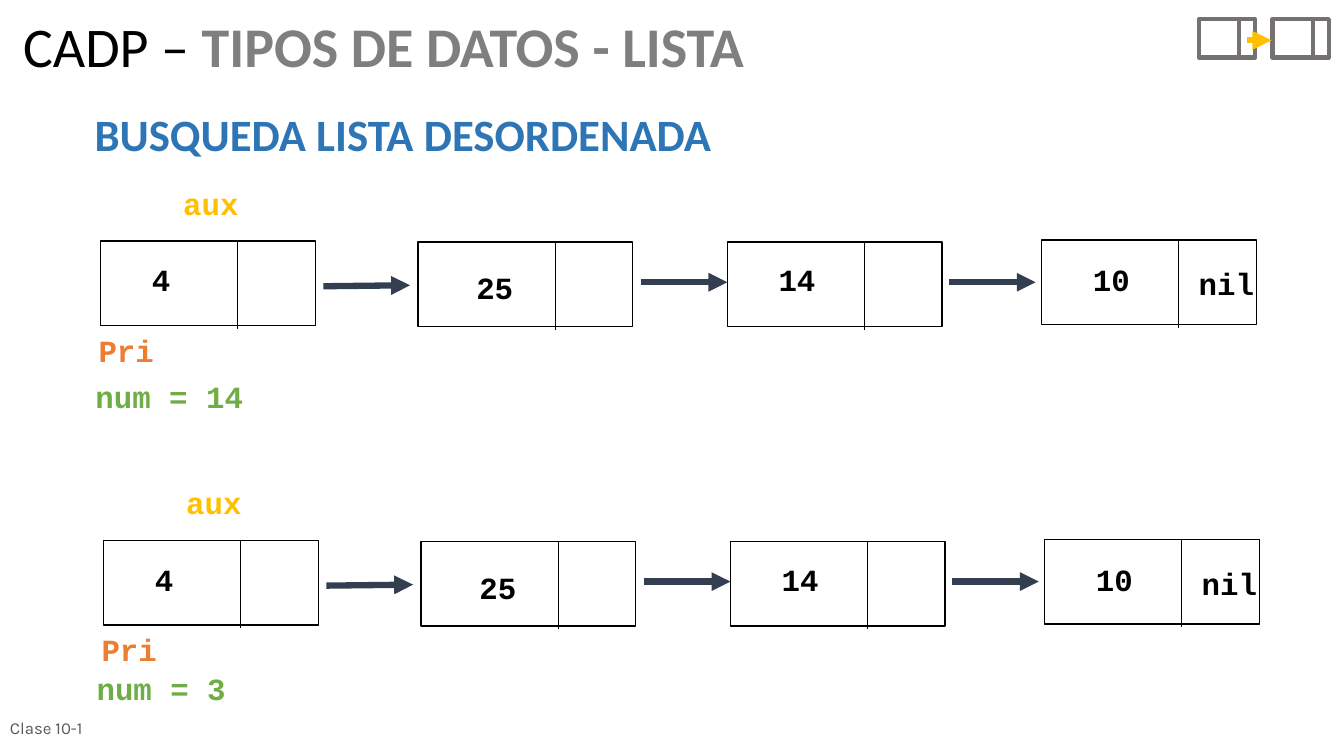
from lxml import etree
from pptx import Presentation
from pptx import util as u
from pptx.dml.color import RGBColor
from pptx.enum import shapes, text
from pptx.oxml.ns import qn

PX = 9144  # EMU per px, 100 px to the inch
BLACK, GREY, GOLD, NAVY = "000000", "767171", "FFC000", "333F50"
ORANGE, GREEN, BLUE = "ED7D31", "70AD47", "2E75B6"
LEFT, CENTER = text.PP_ALIGN.LEFT, text.PP_ALIGN.CENTER


def rgb(color):
    return RGBColor.from_string(color)


def emu(*lengths):
    return [u.Emu(n * PX) for n in lengths]


class Deck:
    font, size = "Courier New", 22

    def __init__(self, width, height):
        self.prs = Presentation()
        self.prs.slide_width, self.prs.slide_height = emu(width, height)
        self.slide = self.prs.slides.add_slide(self.prs.slide_layouts[5])

    def title(self, x, y, w, h, parts):
        sp = self.slide.shapes.title
        sp.left, sp.top, sp.width, sp.height = emu(x, y, w, h)
        tf = sp.text_frame
        tf.auto_size = text.MSO_AUTO_SIZE.NONE
        tf.vertical_anchor = text.MSO_ANCHOR.TOP
        p = tf.paragraphs[0]
        p.alignment, p.line_spacing = LEFT, 0.9
        for words, color, bold in parts:
            r = p.add_run()
            r.text = words
            r.font.name, r.font.size, r.font.bold = "Calibri", u.Pt(40), bold
            r.font.color.rgb = rgb(color)

    def label(self, words, x, y, w, h=47, color=BLACK, font=font, size=size, bold=True,
              align=LEFT, wrap=True, anchor=text.MSO_ANCHOR.TOP, parent=None):
        sp = (parent or self.slide).shapes.add_textbox(*emu(x, y, w, h))
        tf = sp.text_frame
        tf.word_wrap, tf.vertical_anchor = wrap, anchor
        p = tf.paragraphs[0]
        p.text, p.alignment = words, align
        p.font.name, p.font.size, p.font.bold = font, u.Pt(size), bold
        p.font.color.rgb = rgb(color)

    def box(self, x, y, w, h, color, weight, parent):
        sp = parent.shapes.add_shape(shapes.MSO_SHAPE.RECTANGLE, *emu(x, y, w, h))
        sp.shadow.inherit = False
        sp.fill.background()
        sp.line.color.rgb, sp.line.width = rgb(color), u.Pt(weight)

    def line(self, x1, y1, x2, y2, color, weight, arrow=False, parent=None):
        s = (parent or self.slide).shapes.add_connector(
            shapes.MSO_CONNECTOR.STRAIGHT, *emu(x1, y1, x2, y2))
        s.line.color.rgb, s.line.width = rgb(color), u.Pt(weight)
        props = s.element.spPr
        if arrow:
            etree.SubElement(props.find(qn("a:ln")), qn("a:tailEnd"), type="triangle")
        etree.SubElement(props, qn("a:effectLst"))

    def group(self):
        return self.slide.shapes.add_group_shape()

    def node(self, x, y, value, dx, dy, last=False):
        g = self.group()
        self.box(x, y, 213, 84, BLACK, 1, g)
        self.line(x + 136, y, x + 136, y + 87, BLACK, 0.5, parent=g)
        self.label(value, x + dx, y + dy, 20 + 20 * len(value), wrap=False, parent=g)
        if last:
            self.label("nil", x + 146, y + 20, 80, wrap=False, parent=g)

    def linked_list(self, x, y):
        # Nodes: left, top, value and the place of the value inside the node
        for left, top, value, dx, dy in ((0, 1, "4", 41, 15), (315, 2, "25", 48, 22),
                                         (622, 2, "14", 41, 14), (934, 0, "10", 41, 16)):
            self.node(x + left, y + top, value, dx, dy, last=value == "10")
        # Links between nodes
        for left, start, end in ((221, 46, 45), (536, 42, 42), (842, 42, 42)):
            self.line(x + left, y + start, x + left + 86, y + end, NAVY, 4.5, arrow=True)
        # Pointers
        self.label("aux", x + 72, y - 60, 94, color=GOLD)
        self.label("Pri", x - 12, y + 86, 94, color=ORANGE)


deck = Deck(1334, 750)

# Headings and footer
deck.title(13, 14, 874, 76, (("CADP – ", BLACK, False),
                             ("TIPOS DE DATOS - LISTA", "7F7F7F", True)))
deck.label("BUSQUEDA LISTA DESORDENADA", 84, 101, 654, 64, BLUE, "Calibri", 32)
deck.label("Clase 10-1", 0, 702, 233, 40, "595959", "Karla", 12, bold=False,
           anchor=text.MSO_ANCHOR.MIDDLE)

# Corner icon: two linked nodes
icon = deck.group()
for left in (1190, 1263):
    deck.box(left, 19, 56, 38, GREY, 3, icon)
    deck.line(left + 40, 19, left + 40, 57, GREY, 3, parent=icon)
deck.line(1238, 40, 1262, 40, GOLD, 4.5, arrow=True, parent=icon)

# The two searches
deck.linked_list(100, 238)
deck.label("num = 14", 81, 370, 174, color=GREEN, align=CENTER)
deck.linked_list(103, 535)
deck.label("num = 3", 73, 659, 174, color=GREEN, align=CENTER)

deck.prs.save("out.pptx")
